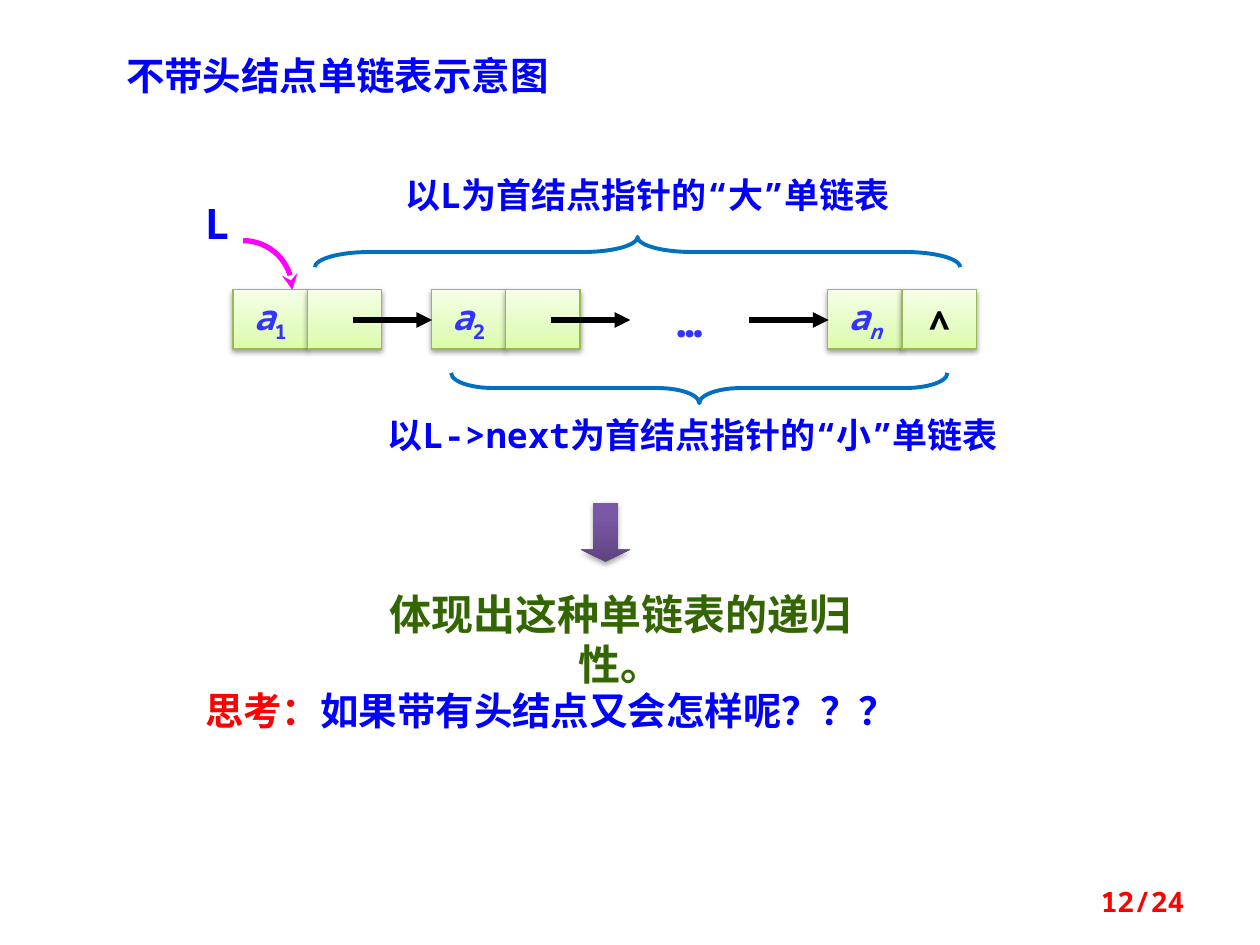
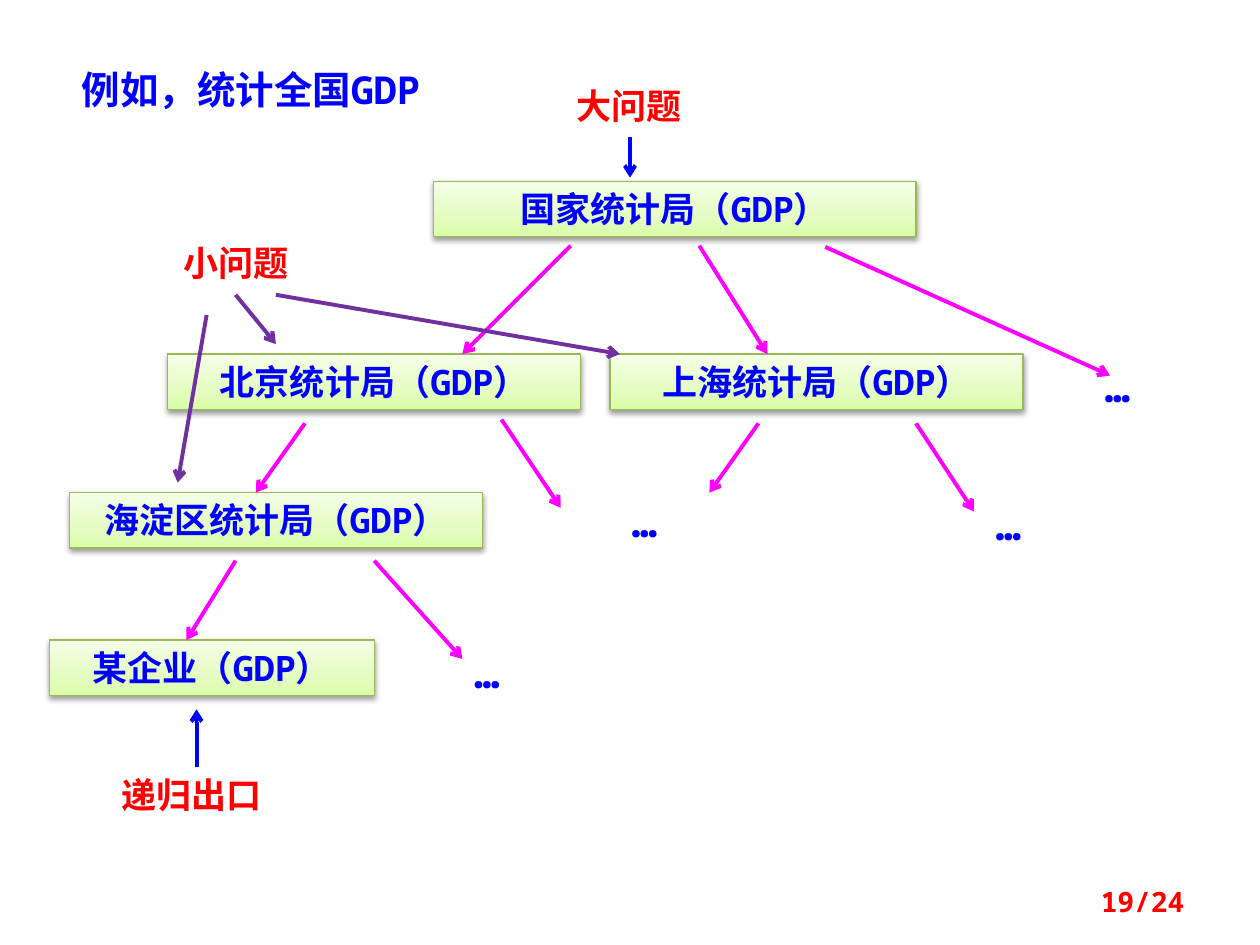
import math

import lxml.etree
import pptx
import pptx.dml.color
import pptx.enum.dml
import pptx.enum.shapes
import pptx.enum.text
import pptx.oxml.ns
import pptx.util

WIDTH, HEIGHT = 10, 7.5
FONT = "Noto Sans Mono"
BLUE, NODE_BLUE, RED, GREEN = "0000FF", "3333FF", "FF0000", "336600"
MAGENTA, PURPLE, BRACE_BLUE, BLACK = "FF00FF", "7030A0", "0070C0", "000000"
BOX_EDGE = "98B955"
BOX_FILL = [(0, "DAFDA7"), (35, "E4FCC2"), (100, "F5FFE7")]
ARROW_FILL = [(0, "5F4480"), (80, "7B58A6"), (100, "7C57A8")]
LABEL_HEIGHT, ELLIPSIS_HEIGHT = 0.44, 0.5

LEFT, CENTER, RIGHT = (pptx.enum.text.PP_ALIGN.LEFT, pptx.enum.text.PP_ALIGN.CENTER,
                       pptx.enum.text.PP_ALIGN.RIGHT)
TOP, MIDDLE = pptx.enum.text.MSO_ANCHOR.TOP, pptx.enum.text.MSO_ANCHOR.MIDDLE
SHAPE = pptx.enum.shapes.MSO_SHAPE

LIST_SLIDE = {
    "title": ("不带头结点单链表示意图", (0.9, 0.36, 4.8, 0.47)),
    "page": "12/24",
    "nodes": [(0, "1", None), (1, "2", None), (3, "n", "∧")],
    "links": [0, 1, 2],
    "labels": [
        ("…", (5.16, 2.3, 0.63, 0.5), 24, NODE_BLUE, CENTER),
        ("L", (1.53, 1.52, 0.47, 0.5), 24, BLUE, LEFT),
        ("以L为首结点指针的“大”单链表", (2.66, 1.33, 4.96, 0.44), 20, BLUE, CENTER),
        ("以L->next为首结点指针的“小”单链表", (2.58, 3.23, 5.84, 0.44), 20, BLUE, CENTER),
        ("体现出这种单链表的递归性。", (2.8, 4.62, 4.25, 0.51), 24, GREEN, CENTER),
    ],
    "braces": [((2.5, 1.88, 5.12, 0.24), 270, 1.81), ((3.58, 2.96, 3.94, 0.24), 90, 1.39)],
    "question": [("思考：", RED), ("如果带有头结点又会怎样呢？？？", BLUE)],
}

TREE_SLIDE = {
    "title": ("例如，统计全国GDP", (0.55, 0.47, 3.52, 0.47)),
    "page": "19/24",
    "levels": [
        (1.44, [("国家统计局（GDP）", 3.44, 3.83)]),
        (2.81, [("北京统计局（GDP）", 1.33, 3.28), ("上海统计局（GDP）", 4.84, 3.28)]),
        (3.91, [("海淀区统计局（GDP）", 0.55, 3.28)]),
        (5.08, [("某企业（GDP）", 0.39, 2.58)]),
    ],
    "ellipses": [(8.44, 2.81, 0.86), (4.53, 3.88, 1.17), (7.42, 3.91, 1.17), (3.28, 5.08, 1.17)],
    "notes": [("大问题", 4.37, 0.62, 1.25), ("小问题", 1.25, 1.87, 1.25),
              ("递归出口", 0.7, 6.09, 1.64)],
    "arrows": {
        MAGENTA: [
            (4.53, 1.95, 3.67, 2.81), (5.55, 1.95, 6.09, 2.81), (6.55, 1.96, 8.81, 2.98),
            (2.42, 3.36, 2.03, 3.91), (3.98, 3.33, 4.45, 4.03),
            (6.02, 3.36, 5.63, 3.91), (7.27, 3.36, 7.73, 4.06),
            (1.87, 4.45, 1.48, 5.08), (2.97, 4.45, 3.67, 5.23),
        ],
        BLUE: [(1.56, 6.09, 1.56, 5.63), (5, 1.09, 5, 1.41)],
        PURPLE: [(1.87, 2.34, 2.19, 2.73), (2.19, 2.34, 4.92, 2.81), (1.64, 2.5, 1.41, 3.83)],
    },
}


def color(value):
    return pptx.dml.color.RGBColor.from_string(value)


def inches(values):
    return [pptx.util.Inches(value) for value in values]


def add_xml(parent, tag, **attributes):
    return lxml.etree.SubElement(parent, pptx.oxml.ns.qn(tag), attributes)


def style_run(run, size, tint, italic=False, baseline=None):
    run.font.size = pptx.util.Pt(size)
    run.font.bold, run.font.italic = True, italic
    run.font.color.rgb = color(tint)
    run.font.name = FONT
    properties = run.font._element
    add_xml(properties, "a:ea", typeface=FONT)
    if baseline:
        properties.set("baseline", str(baseline))


def write(shape, text, size, tint, align=CENTER, anchor=TOP, wrap=True):
    frame = shape.text_frame
    frame.text = text
    frame.word_wrap = wrap
    frame.auto_size = pptx.enum.text.MSO_AUTO_SIZE.NONE
    frame.vertical_anchor = anchor
    paragraph = frame.paragraphs[0]
    paragraph.alignment = align
    paragraph._p.get_or_add_pPr().set("hangingPunct", "0")
    for run in paragraph.runs:
        style_run(run, size, tint)
    return paragraph


def add_label(slide, text, place, size, tint, align=CENTER, anchor=TOP):
    return write(slide.shapes.add_textbox(*inches(place)), text, size, tint, align, anchor)


def set_line(shape, tint, width, head=None):
    shape.line.color.rgb = color(tint)
    shape.line.width = pptx.util.Pt(width)
    if head:
        add_xml(shape.element.spPr.find(pptx.oxml.ns.qn("a:ln")), "a:tailEnd", type=head)


def add_shaded(slide, kind, place, stops, shadow_share, edge=None):
    shape = slide.shapes.add_shape(kind, *inches(place))
    shape.fill.gradient()
    shape.fill.gradient_angle = 90
    stop_list = shape.element.spPr.find(".//" + pptx.oxml.ns.qn("a:gsLst"))
    for stop in list(stop_list):
        stop_list.remove(stop)
    for position, tint in stops:
        stop = add_xml(stop_list, "a:gs", pos=str(position * 1000))
        add_xml(stop, "a:srgbClr", val=tint)
    if edge:
        set_line(shape, edge, 0.75)
    else:
        shape.line.fill.background()
    shape.shadow.inherit = False
    effects = shape.element.spPr.find(pptx.oxml.ns.qn("a:effectLst"))
    shadow = add_xml(effects, "a:outerShdw", blurRad="40000", dist="20000",
                     dir="5400000", rotWithShape="0")
    add_xml(add_xml(shadow, "a:srgbClr", val=BLACK), "a:alpha", val=str(shadow_share * 1000))
    return shape


def add_box(slide, place):
    return add_shaded(slide, SHAPE.RECTANGLE, place, BOX_FILL, 38, BOX_EDGE)


def add_arrow(slide, ends, tint, width, head):
    arrow = slide.shapes.add_connector(pptx.enum.shapes.MSO_CONNECTOR.STRAIGHT, *inches(ends))
    set_line(arrow, tint, width, head)
    add_xml(arrow.element.spPr, "a:effectLst")


def add_brace(slide, place, rotation, curl):
    left, top, span, depth = place
    center_x, center_y = left + span / 2, top + depth / 2
    brace = slide.shapes.add_shape(
        SHAPE.RIGHT_BRACE, *inches((center_x - depth / 2, center_y - span / 2, depth, span)))
    brace.rotation = rotation
    brace.adjustments[0] = curl
    brace.fill.background()
    brace.shadow.inherit = False
    set_line(brace, BRACE_BLUE, 2.25)


def add_head_pointer(slide, left, top, radius, steps=16):
    turns = [math.pi / 2 * step / steps for step in range(steps + 1)]
    points = [inches((left + radius * math.sin(turn), top + radius * (1 - math.cos(turn))))
              for turn in turns]
    builder = slide.shapes.build_freeform(*points[0])
    builder.add_line_segments(points[1:], close=False)
    pointer = builder.convert_to_shape()
    pointer.fill.background()
    pointer.shadow.inherit = False
    set_line(pointer, MAGENTA, 3, "stealth")


def start_slide(deck, content):
    slide = deck.slides.add_slide(deck.slide_layouts[5])
    text, place = content["title"]
    title = slide.shapes.title
    title.left, title.top, title.width, title.height = inches(place)
    write(title, text, 22, BLUE, LEFT)
    add_label(slide, content["page"], (WIDTH - 2.83, HEIGHT - 0.55, 2.33, 0.4),
              16, RED, RIGHT, MIDDLE)
    return slide


def build_list(deck, content):
    slide = start_slide(deck, content)
    first, row, cell, cell_height = 1.85, 2.3, 0.59, 0.47
    pitch = (6.57 - first) / 3
    for column, index, end_mark in content["nodes"]:
        left = first + column * pitch
        data = add_box(slide, (left, row, cell, cell_height))
        name = write(data, "a", 20, NODE_BLUE, anchor=MIDDLE, wrap=False)
        name.runs[0].font.italic = True
        subscript = name.add_run()
        subscript.text = index
        style_run(subscript, 20, NODE_BLUE, index == "n", -25000)
        pointer = add_box(slide, (left + cell, row, cell, cell_height))
        if end_mark:
            write(pointer, end_mark, 20, BLACK, anchor=MIDDLE, wrap=False)
    for column in content["links"]:
        start = first + 0.95 + column * pitch
        add_arrow(slide, (start, 2.54, start + 0.63, 2.54), BLACK, 3, "triangle")
    add_head_pointer(slide, 1.93, 1.91, 0.39)
    for label in content["labels"]:
        add_label(slide, *label)
    for brace in content["braces"]:
        add_brace(slide, *brace)
    add_shaded(slide, SHAPE.DOWN_ARROW, (4.61, 3.99, 0.39, 0.47), ARROW_FILL, 35).adjustments[1] = 0.25
    (prompt, prompt_tint), (question, question_tint) = content["question"]
    thought = add_label(slide, prompt, (1.53, 5.4, 6.36, 0.47), 22, prompt_tint, LEFT)
    rest = thought.add_run()
    rest.text = question
    style_run(rest, 22, question_tint)


def build_tree(deck, content):
    slide = start_slide(deck, content)
    for top, offices in content["levels"]:
        for office, left, width in offices:
            write(add_box(slide, (left, top, width, LABEL_HEIGHT)), office, 20, BLUE)
    for left, top, width in content["ellipses"]:
        add_label(slide, "…", (left, top, width, ELLIPSIS_HEIGHT), 24, BLUE)
    for note, left, top, width in content["notes"]:
        add_label(slide, note, (left, top, width, LABEL_HEIGHT), 20, RED)
    for tint, arrows in content["arrows"].items():
        for ends in arrows:
            add_arrow(slide, ends, tint, 2.25, "arrow")


def main():
    deck = pptx.Presentation()
    deck.slide_width, deck.slide_height = inches((WIDTH, HEIGHT))
    build_list(deck, LIST_SLIDE)
    build_tree(deck, TREE_SLIDE)
    deck.save("out.pptx")


if __name__ == "__main__":
    main()
